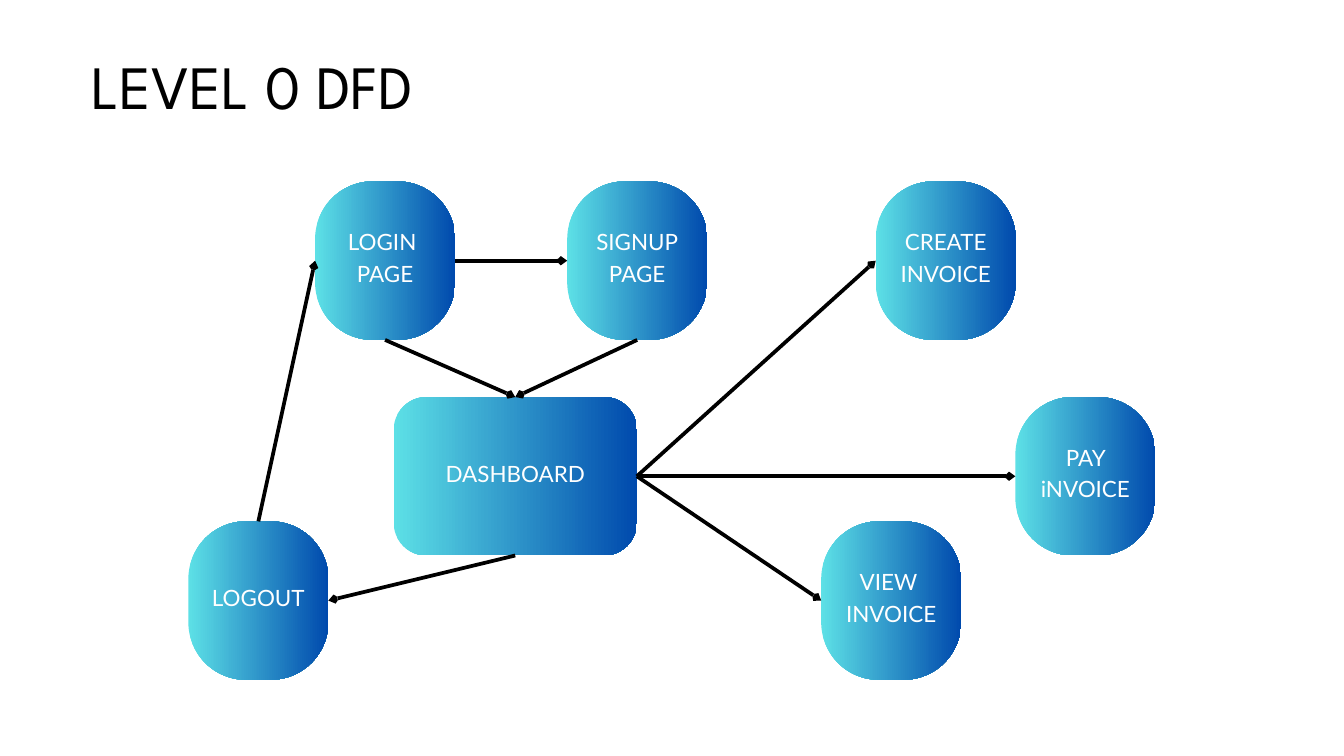
from lxml import etree
from pptx import Presentation
from pptx.dml.color import RGBColor
from pptx.enum.shapes import MSO_CONNECTOR, MSO_SHAPE
from pptx.enum.text import MSO_ANCHOR, PP_ALIGN
from pptx.oxml.ns import qn
from pptx.util import Cm, Pt

ROUNDED = MSO_SHAPE.ROUNDED_RECTANGLE
STRAIGHT = MSO_CONNECTOR.STRAIGHT
MIDDLE = MSO_ANCHOR.MIDDLE
LEFT_ALIGN, CENTER = PP_ALIGN.LEFT, PP_ALIGN.CENTER
TOP, LEFT, BOTTOM, RIGHT = range(4)

COLORS = {"ink": "000000", "light": "FFFFFF", "aqua": "5DE0E6", "navy": "004AAD"}

# Sizes and rows in cm
NODE_WIDTH, DASHBOARD_WIDTH, NODE_HEIGHT = 5.29, 9.19, 5.99
CORNER = 2.18
DASHBOARD_CORNER = 1.24
UPPER, CENTRAL, LOWER = 6.86, 15.01, 19.71

# Name: left, top, width, corner radius, lines
NODES = {
    "login": (11.91, UPPER, NODE_WIDTH, CORNER, ["LOGIN ", "PAGE"]),
    "signup": (21.44, UPPER, NODE_WIDTH, CORNER, ["SIGNUP", "PAGE"]),
    "dashboard": (14.88, CENTRAL, DASHBOARD_WIDTH, DASHBOARD_CORNER, ["DASHBOARD"]),
    "create": (33.1, UPPER, NODE_WIDTH, CORNER, ["CREATE INVOICE"]),
    "pay": (38.38, CENTRAL, NODE_WIDTH, CORNER, ["PAY iNVOICE"]),
    "view": (31.04, LOWER, NODE_WIDTH, CORNER, ["VIEW ", "INVOICE"]),
    "logout": (7.12, LOWER, NODE_WIDTH, CORNER, ["LOGOUT"]),
}

# Start, side, end, side
FLOWS = [
    ("login", RIGHT, "signup", LEFT),
    ("login", BOTTOM, "dashboard", TOP),
    ("signup", BOTTOM, "dashboard", TOP),
    ("dashboard", RIGHT, "create", LEFT),
    ("dashboard", RIGHT, "pay", LEFT),
    ("dashboard", RIGHT, "view", LEFT),
    ("dashboard", BOTTOM, "logout", RIGHT),
    ("logout", TOP, "login", LEFT),
]


def apply_format(target, values):
    for name, value in values.items():
        setattr(target, name, value)


class DiagramPage:
    """Holds the style and the current slide."""

    title_style = {"name": "League Spartan", "size": Pt(66)}
    node_style = {"name": "Lato", "size": Pt(24)}
    title_frame = {"word_wrap": True, "margin_left": 0, "margin_right": 0,
                   "margin_top": 0, "margin_bottom": 0}
    # The deeper bottom margin lifts labels slightly above the centre
    node_frame = {"word_wrap": True, "vertical_anchor": MIDDLE, "margin_left": 0,
                  "margin_right": 0, "margin_top": Cm(0.15), "margin_bottom": Cm(0.55)}

    def __init__(self, deck):
        self.page = deck.slides.add_slide(deck.slide_layouts[6])

    def add_lines(self, frame, lines, style, color, para_format):
        for index, line in enumerate(lines):
            para = frame.add_paragraph() if index else frame.paragraphs[0]
            apply_format(para, para_format)
            span = para.add_run()
            span.text = line
            apply_format(span.font, style)
            span.font.color.rgb = RGBColor.from_string(COLORS[color])

    def title(self, text, left, top, width, height):
        box = self.page.shapes.add_textbox(Cm(left), Cm(top), Cm(width), Cm(height))
        apply_format(box.text_frame, self.title_frame)
        self.add_lines(box.text_frame, [text], self.title_style, "ink",
                       {"alignment": LEFT_ALIGN, "line_spacing": Pt(71.3)})

    def node(self, left, top, width, corner, lines):
        box = self.page.shapes.add_shape(ROUNDED, Cm(left), Cm(top), Cm(width), Cm(NODE_HEIGHT))
        box.adjustments[0] = corner / min(width, NODE_HEIGHT)
        box.shadow.inherit = False
        box.line.fill.background()
        box.fill.gradient()
        box.fill.gradient_angle = 0
        for stop, color in zip(box.fill.gradient_stops, ("aqua", "navy")):
            stop.color.rgb = RGBColor.from_string(COLORS[color])
        apply_format(box.text_frame, self.node_frame)
        self.add_lines(box.text_frame, lines, self.node_style, "light",
                       {"alignment": CENTER, "line_spacing": Pt(33.6)})
        return box

    def arrow(self, start, start_side, end, end_side):
        link = self.page.shapes.add_connector(STRAIGHT, 0, 0, 0, 0)
        link.begin_connect(start, start_side)
        link.end_connect(end, end_side)
        link.line.width = Pt(4)
        link.line.color.rgb = RGBColor.from_string(COLORS["ink"])
        properties = link.element.spPr
        etree.SubElement(properties.find(qn("a:ln")), qn("a:tailEnd"), type="arrow", w="sm", len="sm")
        etree.SubElement(properties, qn("a:effectLst"))


def main():
    deck = Presentation()
    apply_format(deck, {"slide_width": Cm(50.8), "slide_height": Cm(28.58)})
    diagram = DiagramPage(deck)

    # Heading
    diagram.title("LEVEL 0 DFD", 3.45, 2.08, 17.58, 2.59)

    # Processes
    boxes = {name: diagram.node(*values) for name, values in NODES.items()}

    # Data flows
    for start, start_side, end, end_side in FLOWS:
        diagram.arrow(boxes[start], start_side, boxes[end], end_side)

    deck.save("out.pptx")


if __name__ == "__main__":
    main()
